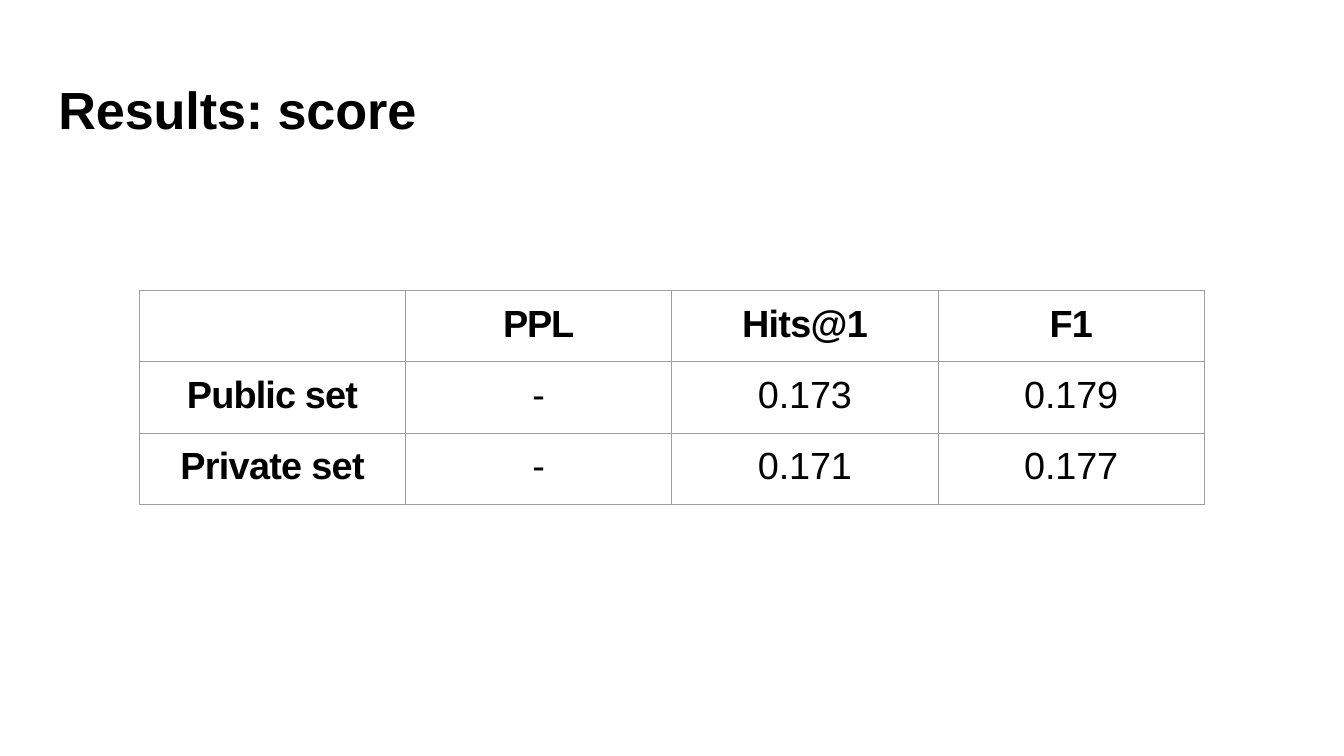
from dataclasses import dataclass

import pptx
import pptx.dml.color
import pptx.enum.text
import pptx.oxml
import pptx.oxml.ns
import pptx.util
from pptx.util import Cm


@dataclass(frozen=True)
class Theme:
    font: str = "Arial"
    text: str = "000000"
    border: str = "9E9E9E"
    border_width: float = 0.75
    title_size: float = 37.3
    table_size: float = 27


# Each entry is the cell's text and its letter spacing in points.
SCORES = [
    [None, ("PPL", -0.8), ("Hits@1", -0.5), ("F1", -0.6)],
    [("Public set", -0.6), ("-", 0), ("0.173", -0.1), ("0.179", -0.1)],
    [("Private set", -0.5), ("-", 0), ("0.171", -0.1), ("0.177", -0.1)],
]


class SlideBuilder:
    def __init__(self, presentation, theme):
        self.theme = theme
        self.slide = presentation.slides.add_slide(presentation.slide_layouts[5])

    def add_run(self, paragraph, text, size, bold, spacing):
        run = paragraph.add_run()
        run.text = text
        run.font.name = self.theme.font
        run.font.size = pptx.util.Pt(size)
        run.font.bold = bold
        run.font.color.rgb = pptx.dml.color.RGBColor.from_string(self.theme.text)
        run.font._element.set("spc", str(round(spacing * 100)))

    def set_title(self, text, left, top, width, height):
        title = self.slide.shapes.title
        title.left, title.top, title.width, title.height = left, top, width, height
        frame = title.text_frame
        frame.word_wrap = True
        frame.auto_size = pptx.enum.text.MSO_AUTO_SIZE.SHAPE_TO_FIT_TEXT
        frame.vertical_anchor = pptx.enum.text.MSO_ANCHOR.TOP
        frame.margin_left, frame.margin_top = Cm(0.05), Cm(0.1)
        frame.margin_right = frame.margin_bottom = 0
        paragraph = frame.paragraphs[0]
        paragraph.alignment = pptx.enum.text.PP_ALIGN.LEFT
        self.add_run(paragraph, text, self.theme.title_size, True, -0.1)

    def add_table(self, rows, left, top, column_width, row_height):
        row_count, column_count = len(rows), len(rows[0])
        table = self.slide.shapes.add_table(
            row_count, column_count, left, top,
            column_width * column_count, row_height * row_count).table
        table.first_row = table.horz_banding = False
        for row_index, row in enumerate(rows):
            for column_index, content in enumerate(row):
                header = row_index == 0 or column_index == 0
                self.format_cell(table.cell(row_index, column_index), content, header)

    def format_cell(self, cell, content, header):
        cell.margin_left = cell.margin_right = cell.margin_bottom = 0
        cell.margin_top = Cm(0.31)
        cell.vertical_anchor = pptx.enum.text.MSO_ANCHOR.TOP
        self.add_borders(cell)
        cell.fill.background()
        if content:
            text, spacing = content
            paragraph = cell.text_frame.paragraphs[0]
            paragraph.alignment = pptx.enum.text.PP_ALIGN.CENTER
            self.add_run(paragraph, text, self.theme.table_size, header, spacing)

    def add_borders(self, cell):
        properties = cell._tc.get_or_add_tcPr()
        width = pptx.util.Pt(self.theme.border_width)
        for side in ("lnL", "lnR", "lnT", "lnB"):
            properties.append(pptx.oxml.parse_xml(
                f'<a:{side} {pptx.oxml.ns.nsdecls("a")} w="{width}"><a:solidFill>'
                f'<a:srgbClr val="{self.theme.border}"/></a:solidFill></a:{side}>'))


def main():
    presentation = pptx.Presentation()
    presentation.slide_width, presentation.slide_height = Cm(33.87), Cm(19.05)
    builder = SlideBuilder(presentation, Theme())
    builder.set_title("Results: score", Cm(1.42), Cm(1.85), Cm(9.17), Cm(1.65))
    builder.add_table(SCORES, Cm(3.51), Cm(7.32), Cm(6.71), Cm(1.8))
    presentation.save("out.pptx")


if __name__ == "__main__":
    main()
